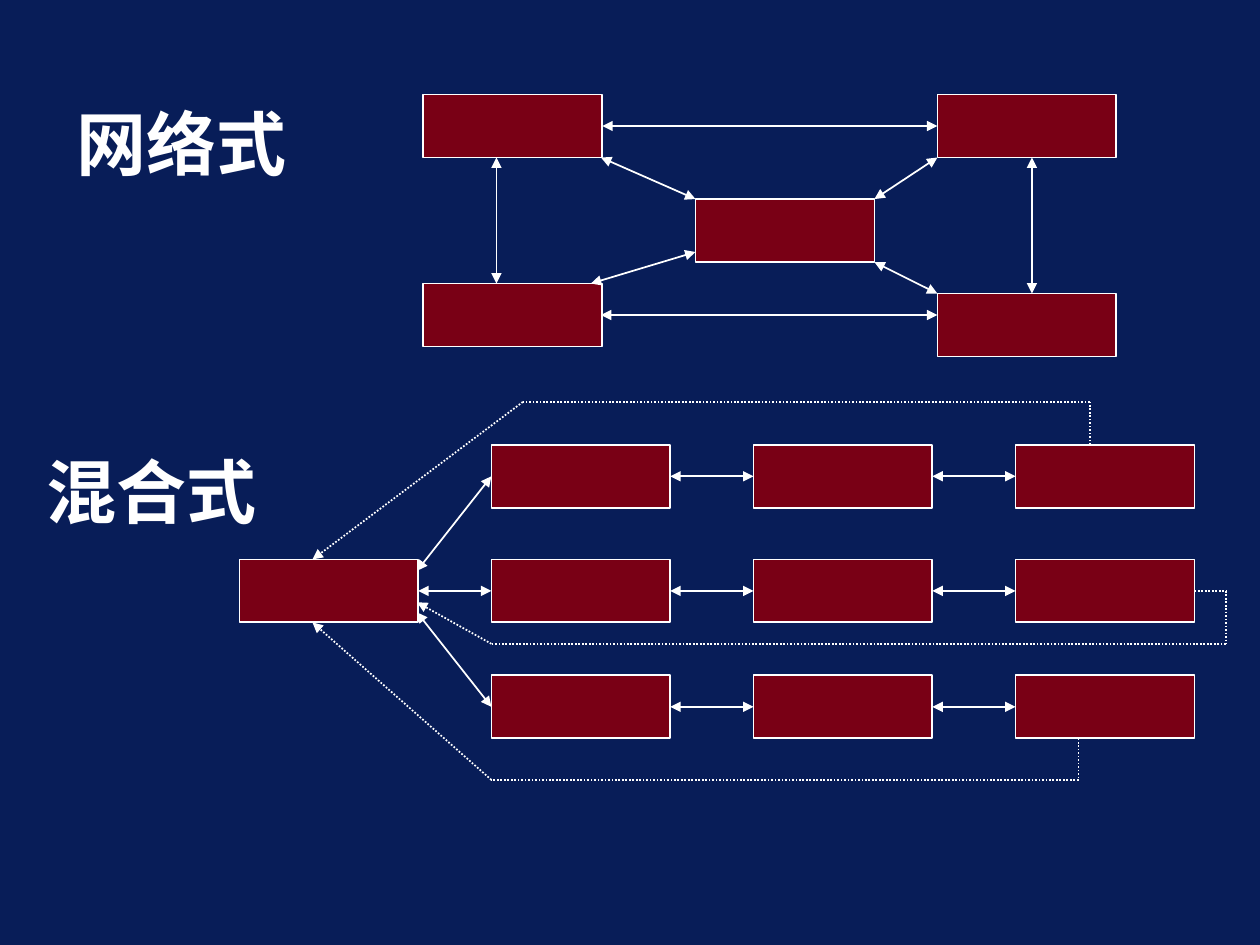
import itertools

import pptx
import pptx.dml.color
import pptx.enum.dml
import pptx.enum.shapes
import pptx.enum.text
import pptx.oxml
import pptx.oxml.ns
import pptx.shapes.base
import pptx.util
from pptx.util import Inches

COLORS = {"back": "081D58", "box": "790015", "white": "FFFFFF"}
FONT = "Noto Sans CJK SC"
WIDE, HIGH = 1.42, 0.5
TOP, LEFT, BOTTOM, RIGHT = range(4)


def color(name):
    """Return the named colour."""
    return pptx.dml.color.RGBColor.from_string(COLORS[name])


def add_tag(parent, tag, **attrs):
    """Append a drawing element with the given attributes."""
    node = pptx.oxml.parse_xml(f"<a:{tag} {pptx.oxml.ns.nsdecls('a')}/>")
    for key, value in attrs.items():
        node.set(key, value)
    parent.append(node)


def write(shape, text, place, space=1.0):
    """Place a heading and set its text."""
    shape.left, shape.top, shape.width, shape.height = map(Inches, place)
    frame = shape.text_frame
    frame.word_wrap = True
    frame.auto_size = pptx.enum.text.MSO_AUTO_SIZE.NONE
    frame.vertical_anchor = pptx.enum.text.MSO_ANCHOR.TOP
    para = frame.paragraphs[0]
    para.alignment = pptx.enum.text.PP_ALIGN.LEFT
    para.line_spacing = space
    para.space_before = pptx.util.Pt(0)
    run = para.add_run()
    run.text = text
    run.font.size = pptx.util.Pt(40)
    run.font.bold = True
    run.font.name = FONT
    run.font.color.rgb = color("white")
    add_tag(run.font._element, "ea", typeface=FONT)


def add_box(slide, left, top):
    """Add one node of a diagram."""
    box = slide.shapes.add_shape(
        pptx.enum.shapes.MSO_SHAPE.RECTANGLE,
        Inches(left), Inches(top), Inches(WIDE), Inches(HIGH))
    box.shadow.inherit = False
    box.fill.solid()
    box.fill.fore_color.rgb = color("box")
    box.line.color.rgb = color("white")
    box.line.width = pptx.util.Pt(1)
    return box


def is_side(end):
    """Tell a (box, side) end from an (x, y) end."""
    return isinstance(end[0], pptx.shapes.base.BaseShape)


def add_link(slide, start, end, heads=("headEnd", "tailEnd"), dotted=False):
    """Draw a line between points or box sides."""
    spots = [(0, 0) if is_side(spot) else spot for spot in (start, end)]
    line = slide.shapes.add_connector(
        pptx.enum.shapes.MSO_CONNECTOR.STRAIGHT,
        *(Inches(value) for spot in spots for value in spot))
    if is_side(start):
        line.begin_connect(*start)
    if is_side(end):
        line.end_connect(*end)
    line.line.color.rgb = color("white")
    line.line.width = pptx.util.Pt(1)
    if dotted:
        line.line.dash_style = pptx.enum.dml.MSO_LINE.ROUND_DOT
    for head in heads:
        add_tag(line.line._get_or_add_ln(), head, type="triangle")
    add_tag(line._element.spPr, "effectLst")


def add_route(slide, *stops):
    """Draw a dotted path with an arrow at its end."""
    for start, end in itertools.pairwise(stops):
        heads = ("tailEnd",) if end is stops[-1] else ()
        add_link(slide, start, end, heads, dotted=True)


def draw_net(slide):
    """Draw the network diagram."""
    west, east = 3.36, 7.44
    first, last = [add_box(slide, left, 0.75) for left in (west, east)]
    for left, top in ((5.52, 1.58), (west, 2.25), (east, 2.33)):
        add_box(slide, left, top)
    add_link(slide, (first, RIGHT), (last, LEFT))
    for start, end in (
            ((3.94, 1.25), (3.94, 2.25)),
            ((8.19, 1.25), (8.19, 2.33)),
            ((4.77, 2.5), (east, 2.5)),
            ((4.77, 1.25), (5.52, 1.58)),
            ((4.69, 2.25), (5.52, 2)),
            ((6.94, 1.58), (east, 1.25)),
            ((6.94, 2.08), (east, 2.33))):
        add_link(slide, start, end)


def draw_mix(slide):
    """Draw the mixed diagram."""
    hub = add_box(slide, 1.9, 4.44)
    ports = ((3.31, 4.53), (hub, RIGHT), (3.31, 4.86))
    rows = []
    for top, port in zip((3.53, 4.44, 5.36), ports):
        row = [add_box(slide, 3.9 + 2.08 * col, top) for col in range(3)]
        add_link(slide, port, (row[0], LEFT))
        for one, two in itertools.pairwise(row):
            add_link(slide, (one, RIGHT), (two, LEFT))
        rows.append(row)
    add_route(slide, (8.65, 3.53), (8.65, 3.19), (4.15, 3.19), (2.48, 4.44))
    add_route(slide, (8.56, 5.86), (8.56, 6.19), (3.9, 6.19), (2.48, 4.94))
    add_route(slide, (rows[1][-1], RIGHT), (9.73, 4.69), (9.73, 5.11),
              (3.9, 5.11), (3.31, 4.78))


def main():
    """Build and save the slide."""
    deck = pptx.Presentation()
    deck.slide_width, deck.slide_height = Inches(10), Inches(7.5)
    slide = deck.slides.add_slide(deck.slide_layouts[5])
    slide.background.fill.solid()
    slide.background.fill.fore_color.rgb = color("back")
    write(slide.shapes.title, "网络式", (0.51, 0.68, 2.16, 0.87), 1.1)
    label = slide.shapes.add_textbox(0, 0, 0, 0)
    write(label, "混合式", (0.27, 3.51, 2.02, 0.77))
    draw_net(slide)
    draw_mix(slide)
    deck.save("out.pptx")


if __name__ == "__main__":
    main()
